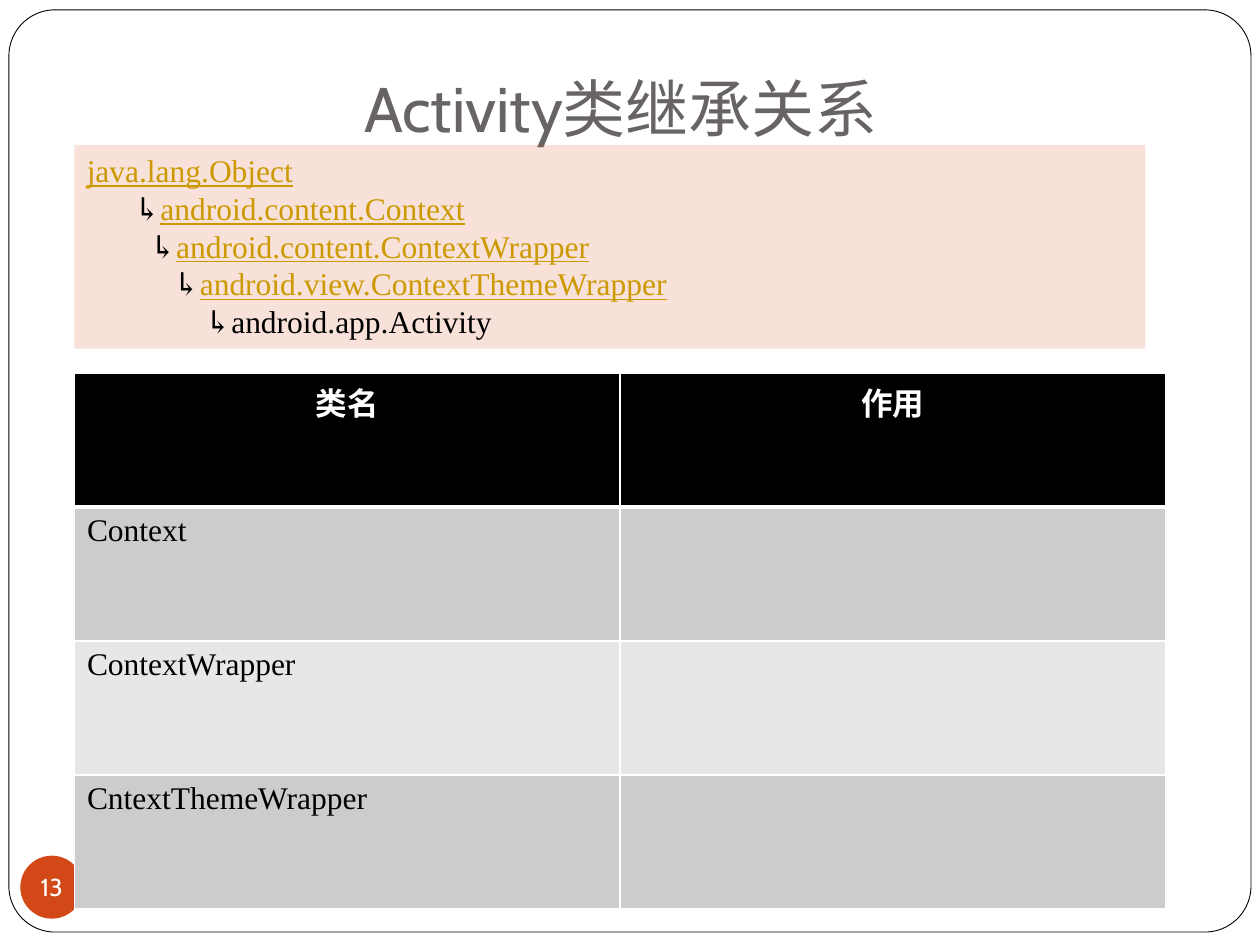
import pptx
import pptx.util
import pptx.dml.color
import pptx.enum.shapes
import pptx.enum.text
import pptx.oxml
import pptx.oxml.ns
import lxml.etree

Cm = pptx.util.Cm
Pt = pptx.util.Pt
RGBColor = pptx.dml.color.RGBColor
Shape = pptx.enum.shapes.MSO_SHAPE
Align = pptx.enum.text.PP_ALIGN
Anchor = pptx.enum.text.MSO_ANCHOR
qn = pptx.oxml.ns.qn

BLACK = RGBColor(0x00, 0x00, 0x00)
WHITE = RGBColor(0xFF, 0xFF, 0xFF)
ORANGE = RGBColor(0xD3, 0x48, 0x17)
TITLE_GRAY = RGBColor(0x69, 0x64, 0x64)
LINK_GOLD = RGBColor(0xCC, 0x99, 0x00)
BAND_DARK = RGBColor(0xCC, 0xCC, 0xCC)
BAND_LIGHT = RGBColor(0xE7, 0xE7, 0xE7)

HEADING_FONT = "Cabin"
BODY_FONT = "Times New Roman"
SPACE_WIDTH = 4.5  # points, one space of the body font at 18 pt

# indent in spaces, class name, shown as a link
CLASSES = [
    (0, "java.lang.Object", True),
    (6, "android.content.Context", True),
    (8, "android.content.ContextWrapper", True),
    (11, "android.view.ContextThemeWrapper", True),
    (15, "android.app.Activity", False),
]
ROWS = [
    ("类名", "作用"),
    ("Context", ""),
    ("ContextWrapper", ""),
    ("CntextThemeWrapper", ""),
]


def write(paragraph, text, size=18, font=BODY_FONT, color=BLACK,
          bold=False, underline=False, align=Align.LEFT):
    paragraph.alignment = align
    run = paragraph.add_run()
    run.text = text
    run.font.size = Pt(size)
    run.font.name = font
    run.font.color.rgb = color
    run.font.bold = bold
    run.font.underline = underline


def add_block(slide, kind, box, fill):
    shape = slide.shapes.add_shape(kind, *map(Cm, box))
    shape.shadow.inherit = False
    shape.fill.solid()
    shape.fill.fore_color.rgb = fill
    shape.line.fill.background()
    return shape


def add_frame(slide, box):
    frame = add_block(slide, Shape.ROUNDED_RECTANGLE, box, WHITE)
    frame.adjustments[0] = 0.05
    frame.line.color.rgb = BLACK
    frame.line.width = Pt(0.5)


def add_title(slide, box):
    text_frame = slide.shapes.add_textbox(*map(Cm, box)).text_frame
    text_frame.word_wrap = True
    text_frame.vertical_anchor = Anchor.BOTTOM
    text_frame.margin_bottom = Cm(0.25)
    write(text_frame.paragraphs[0], "Activity类继承关系", size=36,
          font=HEADING_FONT, color=TITLE_GRAY, align=Align.CENTER)


def add_page_badge(slide, box):
    text_frame = add_block(slide, Shape.OVAL, box, ORANGE).text_frame
    text_frame.margin_left = text_frame.margin_right = 0
    text_frame.margin_top = text_frame.margin_bottom = 0
    text_frame.word_wrap = False
    text_frame.vertical_anchor = Anchor.MIDDLE
    write(text_frame.paragraphs[0], "13", size=14, font=HEADING_FONT,
          color=WHITE, align=Align.CENTER)


def add_hierarchy(slide, box):
    panel = add_block(slide, Shape.RECTANGLE, box, ORANGE)
    color = panel.fill._xPr.find(".//" + qn("a:srgbClr"))
    lxml.etree.SubElement(color, qn("a:alpha"), val="16000")
    text_frame = panel.text_frame
    text_frame.word_wrap = True
    text_frame.vertical_anchor = Anchor.TOP
    for index, (spaces, name, is_link) in enumerate(CLASSES):
        paragraph = text_frame.add_paragraph() if index else text_frame.paragraphs[0]
        if spaces:
            paragraph._p.get_or_add_pPr().set("marL", str(Pt(spaces * SPACE_WIDTH)))
            write(paragraph, "↳")
        write(paragraph, name, color=LINK_GOLD if is_link else BLACK,
              underline=is_link)


def set_borders(cell, top=1, bottom=1):
    """Draw white borders, widths in points; call before the cell is filled."""
    properties = cell._tc.get_or_add_tcPr()
    for side, width in (("L", 1), ("R", 1), ("T", top), ("B", bottom)):
        line = lxml.etree.SubElement(properties, qn("a:ln" + side), w=str(Pt(width)))
        fill = lxml.etree.SubElement(line, qn("a:solidFill"))
        lxml.etree.SubElement(fill, qn("a:srgbClr"), val=str(WHITE))


def add_class_table(slide, box):
    table = slide.shapes.add_table(len(ROWS), len(ROWS[0]), *map(Cm, box)).table
    for row_index, texts in enumerate(ROWS):
        is_header = row_index == 0
        band = BAND_DARK if row_index % 2 else BAND_LIGHT
        for column_index, text in enumerate(texts):
            cell = table.cell(row_index, column_index)
            set_borders(cell, top=3 if row_index == 1 else 1,
                        bottom=3 if is_header else 1)
            cell.fill.solid()
            cell.fill.fore_color.rgb = BLACK if is_header else band
            if text:
                write(cell.text_frame.paragraphs[0], text, bold=is_header,
                      color=WHITE if is_header else BLACK,
                      align=Align.CENTER if is_header else Align.LEFT)


def main():
    presentation = pptx.Presentation()
    presentation.slide_width = Cm(25.4)
    presentation.slide_height = Cm(19.05)
    slide = presentation.slides.add_slide(presentation.slide_layouts[6])
    add_frame(slide, (0.18, 0.2, 25.04, 18.59))
    add_title(slide, (1.09, 0, 22.86, 3.18))
    add_page_badge(slide, (0.41, 17.25, 1.27, 1.27))
    add_hierarchy(slide, (1.5, 2.92, 21.59, 4.11))
    add_class_table(slide, (1.5, 7.52, 22, 10.8))
    presentation.save("out.pptx")


if __name__ == "__main__":
    main()
